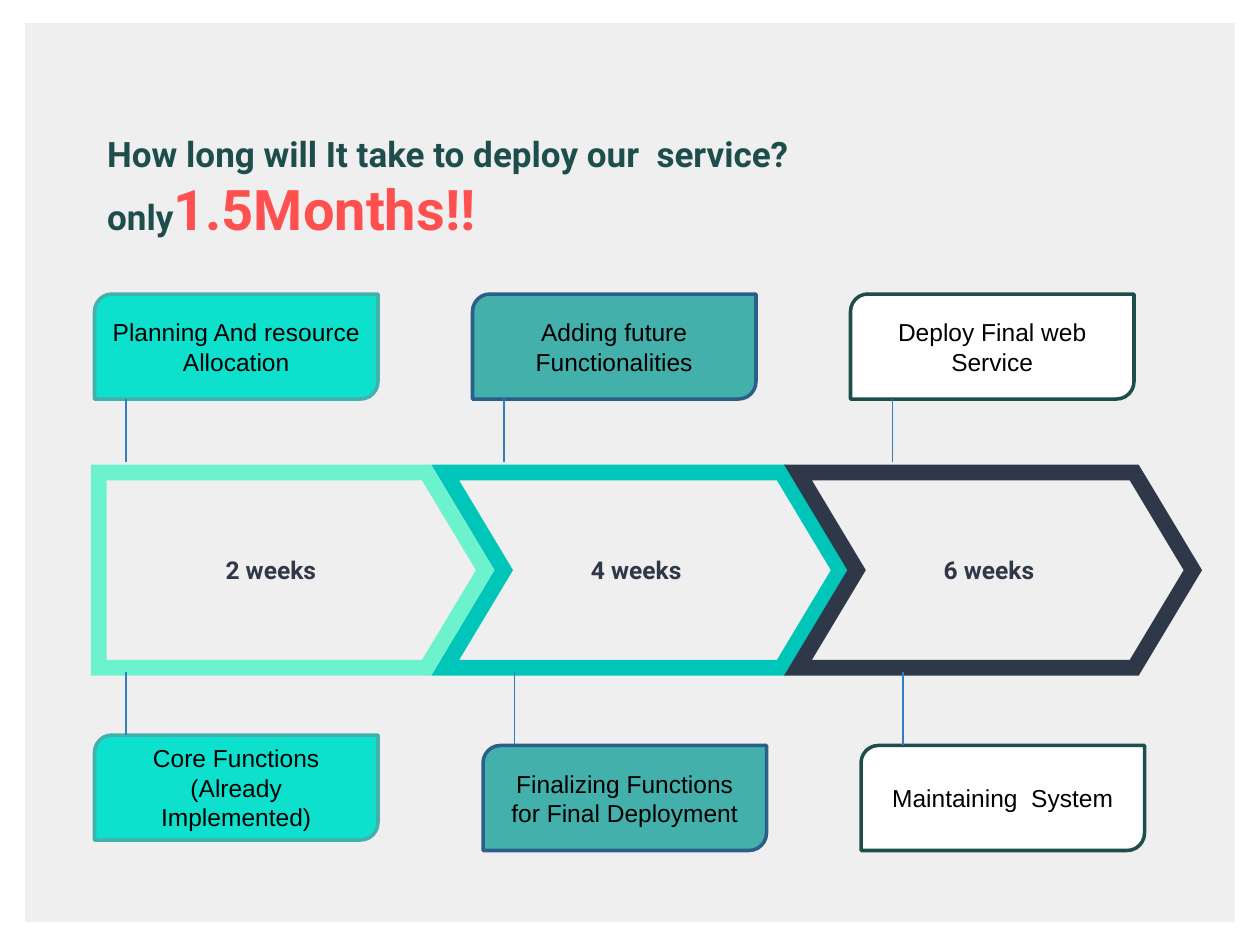
from lxml.etree import SubElement as Sub
from pptx import Presentation
from pptx.dml.color import RGBColor as RGB
from pptx.enum.shapes import MSO_CONNECTOR as Conn, MSO_SHAPE as Kind
from pptx.enum.text import MSO_ANCHOR as Anchor, MSO_AUTO_SIZE as Auto, PP_ALIGN as Align
from pptx.oxml.ns import qn
from pptx.util import Inches, Pt

HUES = {
    "panel": "EFEFEF", "mint": "6CF3CE", "teal": "00C5B9", "navy": "2F3848",
    "aqua": "0DE1CD", "sea": "44B0AB", "blue": "2B5F8A", "white": "FFFFFF",
    "pine": "1E4E4C", "red": "FF5050", "wire": "367EB9", "black": "000000",
}
# Font formats
HEAD = {"name": "Roboto", "size": Pt(20), "bold": True}
LOUD = HEAD | {"size": Pt(32)}
WEEK = HEAD | {"size": Pt(14)}
NOTE = {"name": "Arial", "size": Pt(14), "bold": False}

# Phases: arrow label, left, width and hue; box fill and line
PHASES = [
    ("2 weeks", 9.4, 36.8, "mint", "aqua", "sea"),
    ("4 weeks", 42.4, 37.6, "teal", "sea", "blue"),
    ("6 weeks", 76, 37.6, "navy", "white", "pine"),
]
# Boxes of each phase: (text, left, top, offset of the wire), above and below
BOXES = [
    [("Planning And resource Allocation", 9, 28, 3),
     ("Core Functions (Already Implemented)", 9, 70, 3)],
    [("Adding future Functionalities", 45, 28, 3),
     ("Finalizing Functions for Final Deployment", 46, 71, 3)],
    [("Deploy Final web Service", 81, 28, 4),
     ("Maintaining  System", 82, 71, 4)],
]
BOX_W, BOX_H = 27, 10
ROW_Y, ROW_H = 45, 18.6       # arrow row
WIRE_UP, WIRE_LOW = 44, 64    # wire ends next to the arrow row


def grid(n):
    """Length of n grid cells, twelve to the inch."""
    return Inches(n / 12)


def hue(key):
    return RGB.from_string(HUES[key])


def style(font, form, key):
    for name, value in form.items():
        setattr(font, name, value)
    font.color.rgb = hue(key)


def shape(slide, kind, spot, fill=None, line=None, width=0):
    item = slide.shapes.add_shape(kind, *map(grid, spot))
    item.shadow.inherit = False
    if fill:
        item.fill.solid()
        item.fill.fore_color.rgb = hue(fill)
    else:
        item.fill.background()
    if line:
        item.line.color.rgb = hue(line)
        item.line.width = Pt(width)
    else:
        item.line.fill.background()
    return item


def label(item, text, form, key):
    frame = item.text_frame
    frame.word_wrap = True
    frame.vertical_anchor = Anchor.MIDDLE
    para = frame.paragraphs[0]
    para.alignment = Align.CENTER
    run = para.add_run()
    run.text = text
    style(run.font, form, key)


def arrow(slide, kind, text, left, width, key):
    item = shape(slide, kind, (left, ROW_Y, width, ROW_H), line=key, width=9)
    item.adjustments[0] = 0.3
    Sub(item.line._get_or_add_ln(), qn("a:miter"), lim="800000")
    label(item, text, WEEK, "navy")
    item.text_frame.margin_right = Inches(0.2)


def box(slide, text, left, top, fill, line):
    item = shape(slide, Kind.ROUND_2_DIAG_RECTANGLE,
                 (left, top, BOX_W, BOX_H), fill, line, 2)
    label(item, text, NOTE, "black")


def wire(slide, x, start, end):
    item = slide.shapes.add_connector(
        Conn.STRAIGHT, grid(x), grid(start), grid(x), grid(end))
    item.line.color.rgb = hue("wire")
    item.line.width = Pt(0.75)
    Sub(item._element.spPr, qn("a:effectLst"))


def title(slide):
    item = slide.shapes.title
    item.left, item.top, item.width, item.height = map(grid, (9, 12, 102, 12))
    frame = item.text_frame
    frame.auto_size = Auto.NONE
    frame.word_wrap = True
    frame.vertical_anchor = Anchor.TOP
    para = frame.paragraphs[0]
    para.alignment = Align.LEFT
    for text, form, key in [
        ("How long will It take to deploy our  service?", HEAD, "pine"),
        ("only", HEAD, "pine"),
        ("1.5Months!!", LOUD, "red"),
    ]:
        if text == "only":
            para.add_line_break()
        run = para.add_run()
        run.text = text
        style(run.font, form, key)


def main():
    deck = Presentation()
    deck.slide_width, deck.slide_height = Inches(10), Inches(7.5)
    slide = deck.slides.add_slide(deck.slide_layouts[5])

    # Panel, behind the title
    panel = shape(slide, Kind.RECTANGLE, (2.4, 2.2, 115.2, 85.6), "panel")
    slide.shapes.title._element.addprevious(panel._element)
    title(slide)

    # Timeline arrows
    for i, (text, left, width, key, *_) in enumerate(PHASES):
        kind = Kind.CHEVRON if i else Kind.PENTAGON
        arrow(slide, kind, text, left, width, key)

    # Boxes and their wires
    for (*_, fill, line), pair in zip(PHASES, BOXES):
        for text, left, top, shift in pair:
            box(slide, text, left, top, fill, line)
            above = top < ROW_Y
            ends = (top + BOX_H, WIRE_UP) if above else (WIRE_LOW, top)
            wire(slide, left + shift, *ends)

    deck.save("out.pptx")


if __name__ == "__main__":
    main()
